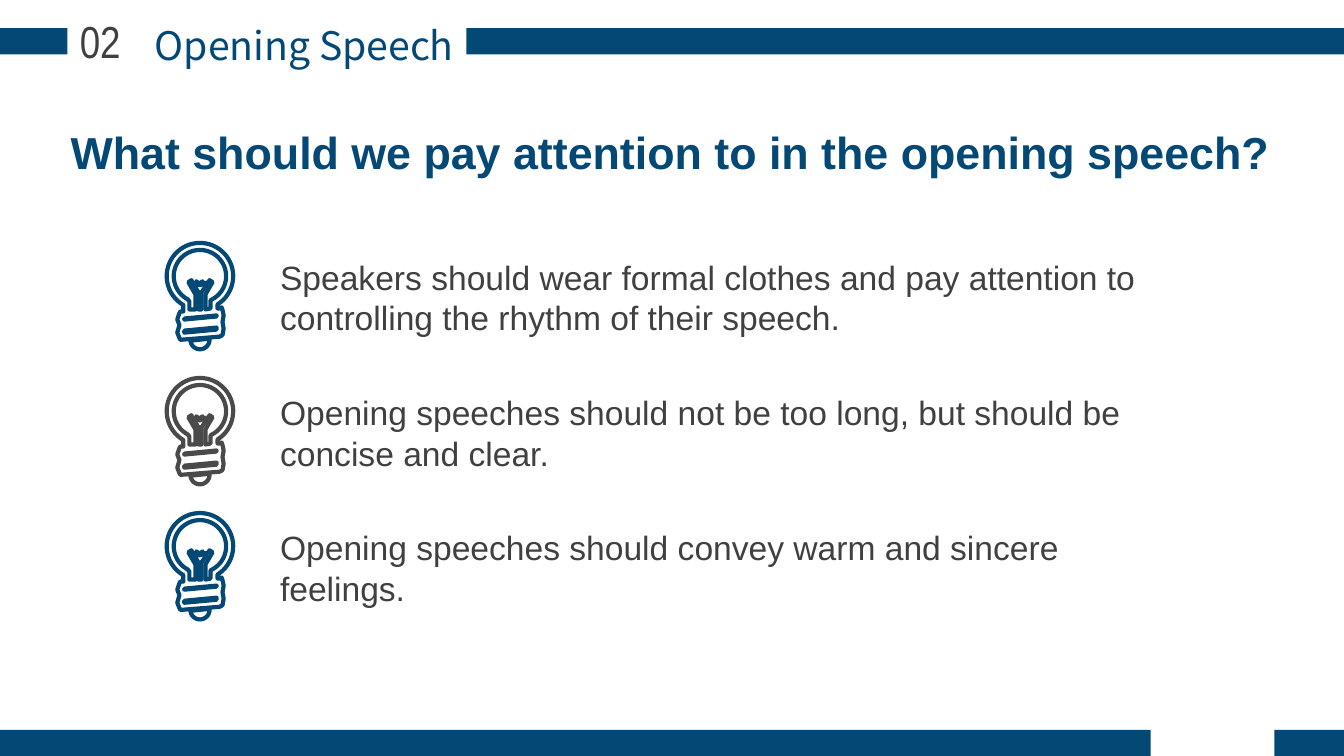
from math import cos, radians, sin

from pptx import Presentation
from pptx.dml.color import RGBColor
from pptx.enum.shapes import MSO_SHAPE
from pptx.enum.text import MSO_ANCHOR, MSO_AUTO_SIZE, PP_ALIGN
from pptx.util import Pt

RECT = MSO_SHAPE.RECTANGLE
TOP = MSO_ANCHOR.TOP
FIXED = MSO_AUTO_SIZE.NONE
LEFT, CENTER = PP_ALIGN.LEFT, PP_ALIGN.CENTER

SCALE = 9144
WIDE, HIGH = 1334, 750
BAR = 26
PITCH = 134
COLORS = {"blue": "044875", "text": "404040", "gray": "4A4A4A", "white": "FFFFFF"}
FRAME = {"word_wrap": True, "auto_size": FIXED, "vertical_anchor": TOP}
NUMBER = {"name": "Arial Narrow", "size": Pt(32)}
SECTION = {"name": "Noto Sans CJK SC", "size": Pt(28)}
HEADING = {"name": "Arial", "size": Pt(32), "bold": True}
BODY = {"name": "Arial", "size": Pt(24)}
ITEMS = [
    ("Speakers should wear formal clothes and pay attention to "
     "controlling the rhythm of their speech.", "blue"),
    ("Opening speeches should not be too long, but should be "
     "concise and clear.", "gray"),
    ("Opening speeches should convey warm and sincere feelings.", "blue"),
]


def px(*vals):
    """Turn px lengths into EMU."""
    return [round(val * SCALE) for val in vals]


def rgb(name):
    """Look up a colour by name."""
    return RGBColor.from_string(COLORS[name])


def arc(x, y, size, start, end):
    """List points along a circle, with angles in degrees."""
    steps = max(2, round((end - start) / 6))
    turns = [radians(start + (end - start) * i / steps) for i in range(steps + 1)]
    return [(x + size * cos(turn), y + size * sin(turn)) for turn in turns]


BULB = [
    arc(32.5, 33, 33, 120, 418) + [
        (50, 65), (52, 65), (54, 64), (55, 67), (56, 72), (55, 78), (55, 79),
        (56, 85), (55, 91), (54, 92), (52, 93), (15, 96), (13, 96), (12, 94),
        (10, 89), (12, 82), (12, 81), (10, 76), (12, 70), (13, 68), (16, 68)],
    arc(32.5, 33, 26, 118, 421) + [
        (43, 57), (43, 65), (38, 66), (38, 51), (45, 39), (42, 37), (41, 39),
        (38, 40), (35, 39), (35, 38), (34, 39), (32, 40), (30, 39), (29, 38),
        (29, 39), (27, 40), (25, 39), (24, 37), (21, 39), (28, 51), (28, 66),
        (22, 66), (22, 58)],
    [(39, 42), (38, 42), (35, 41), (32, 42), (29, 41), (27, 42), (26, 41),
     (31, 49), (31, 66), (34, 66), (34, 49)],
    [(42, 95)] + arc(32.5, 96, 9.5, 0, 174),
    [(49, 84), (17, 87), (17, 89), (49, 86)],
    [(49, 72), (17, 75), (17, 76), (49, 73)],
]


def bar(slide, left, top, right):
    """Draw one blue bar from left to right."""
    shape = slide.shapes.add_shape(RECT, *px(left, top, right - left, BAR))
    shape.shadow.inherit = False
    shape.fill.solid()
    shape.fill.fore_color.rgb = rgb("blue")
    shape.line.fill.background()


def write(shape, box, lines, font, color, align=LEFT, **space):
    """Place a text shape in its box and fill it with formatted lines."""
    shape.left, shape.top, shape.width, shape.height = px(*box)
    frame = shape.text_frame
    for key, val in FRAME.items():
        setattr(frame, key, val)
    frame.text = "\n".join(lines)
    for i, para in enumerate(frame.paragraphs):
        props = para._p.get_or_add_pPr()
        props.set("marL", "0")
        props.set("indent", "0")
        props.insert_element_before(
            props.makeelement(
                "{http://schemas.openxmlformats.org/drawingml/2006/main}buNone"),
            "a:tabLst", "a:defRPr", "a:extLst")
        gap = space.get("space_before", Pt(0)) if i else Pt(0)
        for key, val in {**space, "alignment": align, "space_before": gap}.items():
            setattr(para, key, val)
        for key, val in font.items():
            setattr(para.font, key, val)
        para.font.color.rgb = rgb(color)


def label(slide, box, text, font, color):
    """Add a centred line of text."""
    shape = slide.shapes.add_textbox(*px(*box))
    write(shape, box, [text], font, color, CENTER)


def bulb(slide, left, top, color):
    """Draw a light bulb outline with its top left corner given."""
    build = None
    for path in BULB:
        spots = [px(left + x, top + y) for x, y in path]
        if build is None:
            build = slide.shapes.build_freeform(*spots[0])
        else:
            build.move_to(*spots[0])
        build.add_line_segments(spots[1:], close=True)
    shape = build.convert_to_shape()
    shape.shadow.inherit = False
    shape.fill.solid()
    shape.fill.fore_color.rgb = rgb("white")
    shape.line.color.rgb = rgb(color)
    shape.line.width = Pt(3)


def header(slide, left, top, right):
    """Draw the top band with section number and name."""
    bar(slide, left, top, left + 67)
    bar(slide, left + 463, top, right)
    label(slide, (left + 129, top - 12, 346, 57), "Opening Speech", SECTION, "blue")
    label(slide, (left + 60, top - 19, 79, 64), "02", NUMBER, "text")


def footer(slide, left, top, right):
    """Draw the bottom band with its gap."""
    bar(slide, left, top, left + 1142)
    bar(slide, right - 69, top, right)


def advice(slide, left, top, width, height):
    """Place the list of tips with a bulb beside each."""
    write(slide.placeholders[1], (left + 102, top + 9, width - 102, height),
          [text for text, _ in ITEMS], BODY, "text",
          line_spacing=Pt(28.8), space_before=Pt(38.9))
    for i, (_, color) in enumerate(ITEMS):
        bulb(slide, left, top + i * PITCH, color)


def main():
    """Build and save the slide."""
    deck = Presentation()
    deck.slide_width, deck.slide_height = px(WIDE, HIGH)
    slide = deck.slides.add_slide(deck.slide_layouts[1])
    header(slide, 0, 28, WIDE)
    write(slide.shapes.title, (60, 119, 1220, 64),
          ["What should we pay attention to in the opening speech?"], HEADING, "blue")
    advice(slide, 166, 241, 980, 358)
    footer(slide, 0, HIGH - BAR, WIDE)
    deck.save("out.pptx")


if __name__ == "__main__":
    main()
